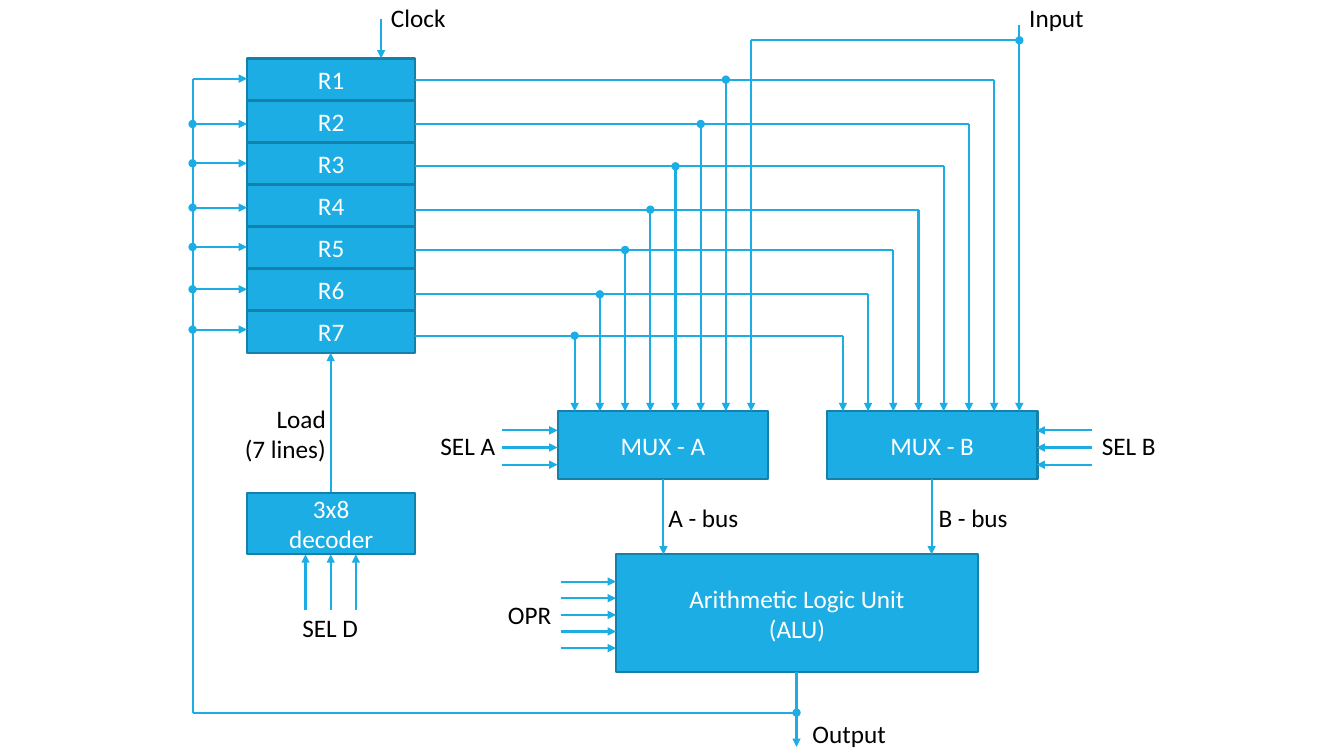
from lxml import etree
from pptx import Presentation
from pptx.dml.color import RGBColor
from pptx.enum import shapes, text
from pptx.oxml.ns import qn
from pptx.util import Inches, Pt

hue = RGBColor.from_string
deck = Presentation()
deck.slide_width, deck.slide_height = Inches(13.33), Inches(7.5)
slide = deck.slides.add_slide(deck.slide_layouts[6])


def write(shape, words, color, align):
    frame = shape.text_frame
    frame.word_wrap = True
    frame.text = words
    for para in frame.paragraphs:
        para.alignment = align
        para.font.name = "Calibri"
        para.font.size = Pt(18)
        para.font.color.rgb = hue(color)


def wire(x1, y1, x2, y2, tail="triangle", head=None):
    line = slide.shapes.add_connector(
        shapes.MSO_CONNECTOR.STRAIGHT, Inches(x1), Inches(y1), Inches(x2), Inches(y2))
    line.line.color.rgb = hue("1CADE4")
    line.line.width = Pt(1.5)
    props = line._element.spPr
    for tag, kind in (("a:headEnd", head), ("a:tailEnd", tail)):
        if kind:
            etree.SubElement(props.find(qn("a:ln")), qn(tag)).set("type", kind)
    etree.SubElement(props, qn("a:effectLst"))


blocks = [(f"R{i + 1}", 2.45, 0.58 + i * 2.5 / 6, 1.67, 0.42) for i in range(7)]
blocks += [
    ("MUX - A", 5.53, 4.08, 2.09, 0.67),
    ("MUX - B", 8.2, 4.08, 2.09, 0.67),
    ("Arithmetic Logic Unit\n(ALU)", 6.11, 5.5, 3.59, 1.17),
    ("3x8\ndecoder", 2.45, 4.89, 1.67, 0.61),
]
for words, *spot in blocks:
    block = slide.shapes.add_shape(
        shapes.MSO_SHAPE.RECTANGLE, *[Inches(n) for n in spot])
    block.shadow.inherit = False
    block.fill.solid()
    block.fill.fore_color.rgb = hue("1CADE4")
    block.line.color.rgb = hue("1580A9")
    block.line.width = Pt(1.5)
    block.text_frame.vertical_anchor = text.MSO_ANCHOR.MIDDLE
    write(block, words, "FFFFFF", text.PP_ALIGN.CENTER)

outs = [0.79, 1.23, 1.65, 2.08, 2.48, 2.92, 3.33]
loads = [0.78, 1.23, 1.62, 2.06, 2.45, 2.87, 3.27]
for i, (out, load) in enumerate(zip(outs, loads)):
    end = 9.86 - i * 0.25
    wire(4.12, out, end, out, None)
    wire(end, out, end, 4.08)
    wire(end - 2.66, out, end - 2.66, 4.08, head="oval")
    wire(1.91, load, 2.45, load, head="oval" if i else None)

wire(3.78, 0.19, 3.78, 0.58)
wire(10.11, 0.25, 10.11, 4.08)
wire(7.45, 0.4, 10.11, 0.4, "oval")
wire(7.45, 0.4, 7.45, 4.08)
wire(1.91, 7.07, 1.91, 0.78, None)
wire(1.91, 7.07, 7.9, 7.07, "oval")
wire(7.9, 6.67, 7.9, 7.41)
wire(3.28, 4.88, 3.28, 3.5)
for x in (6.58, 9.24):
    wire(x, 4.75, x, 5.5)
for i in range(3):
    y = 4.27 + i * 0.17
    wire(4.98, y, 5.53, y)
    wire(10.83, y, 10.28, y)
    x = 3.03 + i * 0.25
    wire(x, 6.05, x, 5.5)
for i in range(5):
    y = 5.77 + i * 0.165
    wire(5.56, y, 6.11, y)

labels = [
    ("Clock", 3.78, -0.03, 0.83, 0.4),
    ("Input", 10.11, -0.03, 0.83, 0.4),
    ("Output", 7.96, 7.08, 0.99, 0.4),
    ("SEL A", 4.27, 4.22, 0.83, 0.4),
    ("SEL B", 10.83, 4.22, 0.83, 0.4),
    ("SEL D", 2.9, 6.03, 0.83, 0.4),
    ("OPR", 4.94, 5.9, 0.83, 0.4),
    ("Load\n(7 lines)", 2.26, 3.95, 1.07, 0.71),
    ("A - bus", 6.53, 4.93, 0.99, 0.4),
    ("B - bus", 9.21, 4.93, 0.99, 0.4),
]
for words, *spot in labels:
    label = slide.shapes.add_textbox(*[Inches(n) for n in spot])
    side = text.PP_ALIGN.RIGHT if "\n" in words else text.PP_ALIGN.LEFT
    write(label, words, "000000", side)

deck.save("out.pptx")
